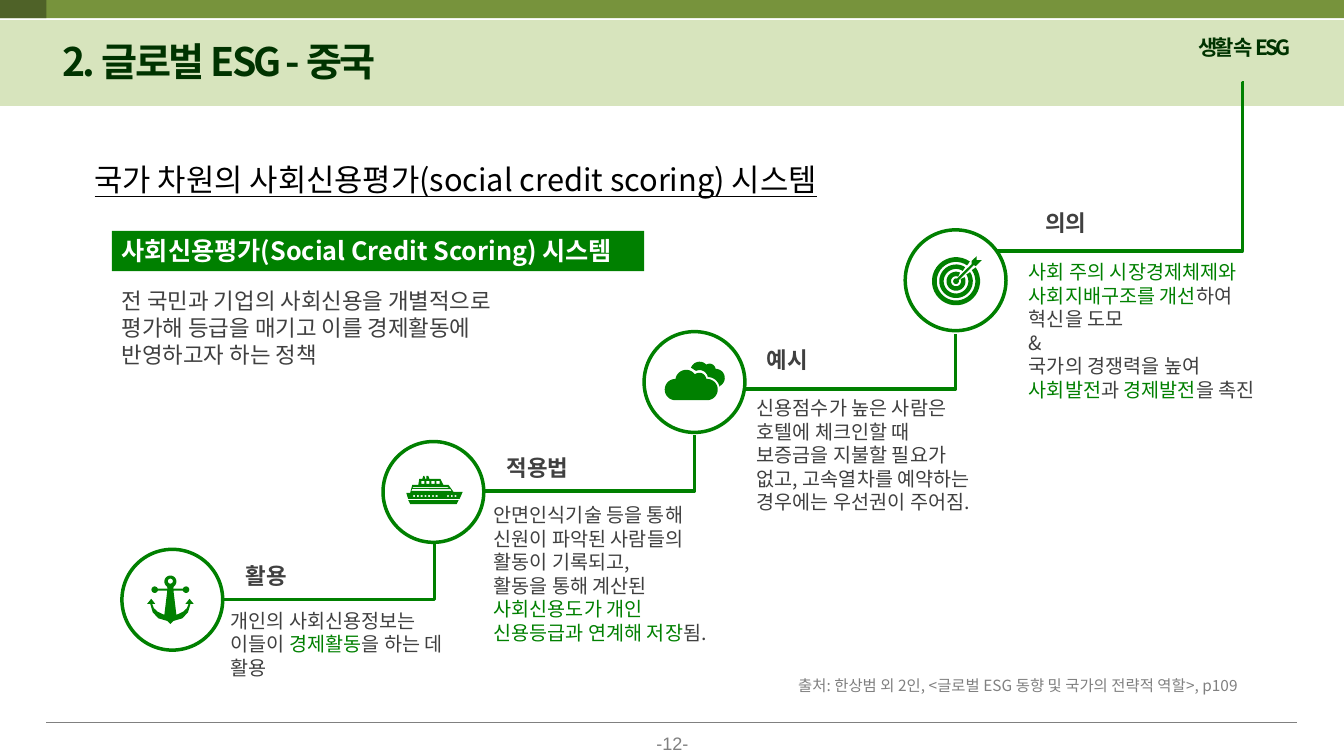
import math
from dataclasses import dataclass

import pptx
import pptx.dml.color
import pptx.enum.shapes
import pptx.enum.text
import pptx.oxml
import pptx.oxml.ns
import pptx.util

Pt = pptx.util.Pt
qn = pptx.oxml.ns.qn
SHAPE = pptx.enum.shapes.MSO_SHAPE
ALIGN = pptx.enum.text.PP_ALIGN
Point = tuple[float, float]
Contour = list[Point]


@dataclass(frozen=True)
class Theme:
    font: str = "Noto Sans CJK KR"
    number_font: str = "Arial"
    accent: str = "008000"
    heading: str = "003300"
    body: str = "404040"
    muted: str = "808080"
    black: str = "000000"
    white: str = "FFFFFF"
    band: str = "D7E4BD"
    strip: str = "77933C"
    corner: str = "4F6228"
    title_size: float = 28
    subtitle_size: float = 22
    banner_size: float = 18
    label_size: float = 16
    corner_size: float = 15
    body_size: float = 14
    number_size: float = 12.9
    source_size: float = 11
    spacing: int = -190
    line: float = 2.5


@dataclass(frozen=True)
class Box:
    left: float
    top: float
    width: float
    height: float


@dataclass(frozen=True)
class Step:
    top: float
    label: str
    label_at: Point
    body: list[str]
    body_at: Point
    body_height: float
    elbow: tuple[float, float, float, float]
    icon: list[Contour]


T = Theme()


def rgb(color: str) -> pptx.dml.color.RGBColor:
    return pptx.dml.color.RGBColor.from_string(color)


def arc(cx: float, cy: float, r: float, start: float, end: float) -> Contour:
    """Points along an arc; degrees run counterclockwise from east."""
    n = max(4, round(abs(end - start) / 10))
    angles = [math.radians(start + (end - start) * i / n) for i in range(n + 1)]
    return [(cx + r * math.cos(a), cy - r * math.sin(a)) for a in angles]


def rect(x: float, y: float, w: float, h: float) -> Contour:
    return [(x, y), (x + w, y), (x + w, y + h), (x, y + h)]


def anchor_icon() -> list[Contour]:
    half = [*arc(0, -13, 4.3, 90, -55), (1.9, -7.9), (8.9, -7.9),
            *arc(11.2, -7.2, 2.3, 160, -160), (8.9, -6.5), (2.2, -6.5), (4.3, 10.8),
            (9, 8.6), (11.8, 6), (13, 2.9), (10.8, 2.9), (13.7, -0.7), (16.6, 2.9),
            (14.4, 2.9), (12.6, 9), (8.5, 13.3), (2.2, 15.1), (0, 17.3)]
    outline = half + [(-x, y) for x, y in reversed(half)]
    return [[(x - 1.4, y) for x, y in c] for c in (outline, arc(0, -13.3, 1.8, 0, 360))]


def ship_icon() -> list[Contour]:
    body = [(-5, -11.5), (-3.6, -11.5), (-2.9, -9.4), (5, -9.4), (7.2, -5), (10.8, -5),
            (14.4, 0), (20.9, 0), (18.7, 5), (-18, 5), (-19.4, 0.7), (-16.6, 0.7),
            (-15.1, -5), (-10.8, -5), (-10.1, -9.4), (-7.9, -9.4), (-7.2, -11.5),
            (-6.5, -11.5), (-5.8, -9.4), (-5, -9.4)]
    keel = [(-18, 5.8), (18, 5.8), (16.6, 8.6), (-16.6, 8.6)]
    decks = [[(-15.1, -2.2), (-15.8, -0.7), (13, -0.7), (12.2, -2)],
             [(-14.4, -3.6), (-15.1, -2.9), (11.5, -2.9), (10.1, -3.6)]]
    portholes = [rect(-14.4 + 2.68 * i, 2.2, 1.4, 1.4) for i in (*range(7), 9, 10, 11)]
    windows = [rect(-8.6 + 3.6 * i, -7.9, 2.2, 2.2) for i in range(4)]
    return [body, keel, *decks, *portholes, *windows]


def cloud_icon() -> list[Contour]:
    front = [*arc(-13.7, 5.4, 7.6, 270, 90), *arc(-6, -1, 7.7, 172, 32),
             *arc(3.4, -1.6, 5, 130, 10), *arc(9, 5.4, 7.6, 90, -90)]
    rear = [*arc(3.6, -8, 6.5, 160, 45), *arc(10.8, -8.8, 4.3, 120, 0),
            *arc(15.1, -2.9, 6.5, 90, -63), *arc(9.3, 5.2, 8.8, 10, 90),
            *arc(3.6, -2.5, 6, 10, 115)]
    return [front, rear]


def target_icon() -> list[Contour]:
    cx, cy = 0.3, 0.7
    rings = [arc(cx, cy, outer, 90 - gap, gap - 360 + 0) + arc(cx, cy, inner, gap - 360, 90 - gap)
             for outer, inner, gap in ((17.2, 13.8, 55), (12, 8.8, 57), (6.8, 3.6, 65))]
    arrow = [(15.1, -17.3), (15.1, -14.4), (18.7, -14.4), (14.4, -10.1), (13, -10.8),
             *arc(cx, cy, 2, 20, -290), (11.5, -11.5), (11.5, -13.7)]
    return [*rings, arrow]


STEPS = [
    Step(392.4, "활용", (168.5, 398.2), ["개인의 사회신용정보는 이들이 *경제활동*을 하는 데 활용"],
         (157.7, 431.3), 58.3, (159.8, 428.4, 310.3, 388.8), anchor_icon()),
    Step(315.4, "적용법", (355, 321.1),
         ["안면인식기술 등을 통해 신원이 파악된 사람들의 활동이 기록되고,",
          "활동을 통해 계산된 *사회신용도가 개인 신용등급과 연계해 저장*됨."],
         (345.6, 355.7), 126, (345.6, 350.6, 496.1, 311), ship_icon()),
    Step(236.9, "예시", (540.7, 243.4),
         ["신용점수가 높은 사람은 호텔에 체크인할 때 보증금을 지불할 필요가 없고, "
          "고속열차를 예약하는 경우에는 우선권이 주어짐."],
         (533.5, 279.4), 92.2, (532.1, 277.9, 682.6, 238.3), cloud_icon()),
    Step(164.2, "의의", (739.4, 146.2),
         ["*사회 주의 시장경제체제와 사회지배구조를 개선*하여 혁신을 도모", "&",
          "국가의 경쟁력을 높여 *사회발전*과 *경제발전*을 촉진"],
         (727.9, 182.2), 108.7, (712.1, 179.3, 888.5, 59), target_icon()),
]


def write(sp, paragraphs: list[str], size: float, color: str, bold: bool = False,
          underline: bool = False, spacing: int = 0, font: str = T.font,
          align=ALIGN.LEFT) -> None:
    """Fill a shape with text; parts between asterisks take the accent colour."""
    tf = sp.text_frame
    tf.word_wrap = True
    tf.auto_size = pptx.enum.text.MSO_AUTO_SIZE.NONE
    tf.vertical_anchor = pptx.enum.text.MSO_ANCHOR.TOP
    for i, text in enumerate(paragraphs):
        p = tf.paragraphs[0] if i == 0 else tf.add_paragraph()
        p.alignment = align
        for j, part in enumerate(text.split("*")):
            if not part:
                continue
            r = p.add_run()
            r.text = part
            r.font.size, r.font.bold, r.font.underline = Pt(size), bold, underline
            r.font.color.rgb = rgb(T.accent if j % 2 else color)
            r.font.name = font
            rpr = r.font._element
            ea = pptx.oxml.parse_xml(
                '<a:ea xmlns:a="http://schemas.openxmlformats.org/drawingml/2006/main"/>')
            ea.set("typeface", font)
            rpr.append(ea)
            if spacing:
                rpr.set("spc", str(spacing))


def add_text(s, box: Box, paragraphs: list[str], size: float, color: str, **style):
    sp = s.shapes.add_textbox(Pt(box.left), Pt(box.top), Pt(box.width), Pt(box.height))
    write(sp, paragraphs, size, color, **style)
    return sp


def add_filled(s, box: Box, color: str):
    sp = s.shapes.add_shape(SHAPE.RECTANGLE, Pt(box.left), Pt(box.top), Pt(box.width), Pt(box.height))
    sp.shadow.inherit = False
    sp.fill.solid()
    sp.fill.fore_color.rgb = rgb(color)
    sp.line.fill.background()
    return sp


def add_line(s, ends: tuple[float, float, float, float], color: str, width: float,
             kind=pptx.enum.shapes.MSO_CONNECTOR.STRAIGHT):
    c = s.shapes.add_connector(kind, *(Pt(v) for v in ends))
    c.line.color.rgb = rgb(color)
    c.line.width = Pt(width)
    c._element.spPr.append(c._element.spPr.makeelement(qn("a:effectLst"), {}))
    return c


def add_elbow(s, ends: tuple[float, float, float, float], last: bool) -> None:
    c = add_line(s, ends, T.accent, T.line, pptx.enum.shapes.MSO_CONNECTOR.ELBOW)
    geom = c._element.spPr.find(qn("a:prstGeom"))
    if last:
        guides = geom.find(qn("a:avLst"))
        guides.append(guides.makeelement(qn("a:gd"), {"name": "adj1", "fmla": "val 99400"}))
    else:
        geom.set("prst", "bentConnector2")


def add_icon(s, contours: list[Contour], cx: float, cy: float) -> None:
    first, *rest = [[(Pt(x), Pt(y)) for x, y in c] for c in contours]
    fb = s.shapes.build_freeform(*first[0])
    fb.add_line_segments(first[1:], close=True)
    for contour in rest:
        fb.move_to(*contour[0])
        fb.add_line_segments(contour[1:], close=True)
    sp = fb.convert_to_shape(Pt(cx), Pt(cy))
    sp.shadow.inherit = False
    sp.fill.solid()
    sp.fill.fore_color.rgb = rgb(T.accent)
    sp.line.fill.background()


def add_step(s, step: Step, left: float, last: bool) -> None:
    ring = s.shapes.add_shape(SHAPE.OVAL, Pt(left), Pt(step.top), Pt(72), Pt(72))
    ring.shadow.inherit = False
    ring.fill.background()
    ring.line.color.rgb = rgb(T.accent)
    ring.line.width = Pt(T.line)
    add_elbow(s, step.elbow, last)
    add_text(s, Box(*step.label_at, 141, 26.6), [step.label], T.label_size, T.body, bold=True)
    add_text(s, Box(*step.body_at, 175.7, step.body_height), step.body, T.body_size, T.body)
    add_icon(s, step.icon, left + 36, step.top + 36)


def main() -> None:
    prs = pptx.Presentation()
    prs.slide_width, prs.slide_height = Pt(960), Pt(540)
    s = prs.slides.add_slide(prs.slide_layouts[5])
    for box, color in ((Box(0, 14.4, 960, 61.2), T.band), (Box(0, 0, 960, 13), T.strip),
                       (Box(0, 0, 33.1, 13), T.corner)):
        add_filled(s, box, color)
    add_line(s, (33.1, 516.2, 926.6, 516.2), T.muted, 0.5)
    add_text(s, Box(447.1, 519.8, 66.2, 24.5), ["-12-"], T.number_size, T.muted,
             font=T.number_font, align=ALIGN.CENTER)
    add_text(s, Box(848.9, 20.9, 85, 25.2), ["생활 속 ESG"], T.corner_size, T.heading,
             bold=True, spacing=T.spacing, align=ALIGN.JUSTIFY)
    title = s.shapes.title
    title.left, title.top, title.width, title.height = Pt(37.4), Pt(23), Pt(295.2), Pt(41)
    write(title, ["2. 글로벌 ESG - 중국"], T.title_size, T.heading, bold=True, spacing=T.spacing)
    s.shapes._spTree.append(title._element)  # raise above the header band
    add_text(s, Box(60.5, 111.6, 561.6, 33.8), ["국가 차원의 사회신용평가(social credit scoring) 시스템"],
             T.subtitle_size, T.black, underline=True)
    banner = add_filled(s, Box(79.9, 164.9, 380.2, 28.8), T.accent)
    write(banner, ["사회신용평가(Social Credit Scoring) 시스템"], T.banner_size, T.white, bold=True)
    add_text(s, Box(79.9, 201.6, 315.4, 65.5),
             ["전 국민과 기업의 사회신용을 개별적으로 평가해 등급을 매기고 이를 경제활동에 반영하고자 하는 정책"],
             T.label_size, T.body)
    for i, step in enumerate(STEPS):
        add_step(s, step, 87.1 + 186.5 * i, last=step is STEPS[-1])
    add_text(s, Box(563, 479.5, 330.5, 20.9),
             ["출처: 한상범 외 2인, <글로벌 ESG 동향 및 국가의 전략적 역할>, p109"], T.source_size, T.muted)
    prs.save("out.pptx")


if __name__ == "__main__":
    main()
